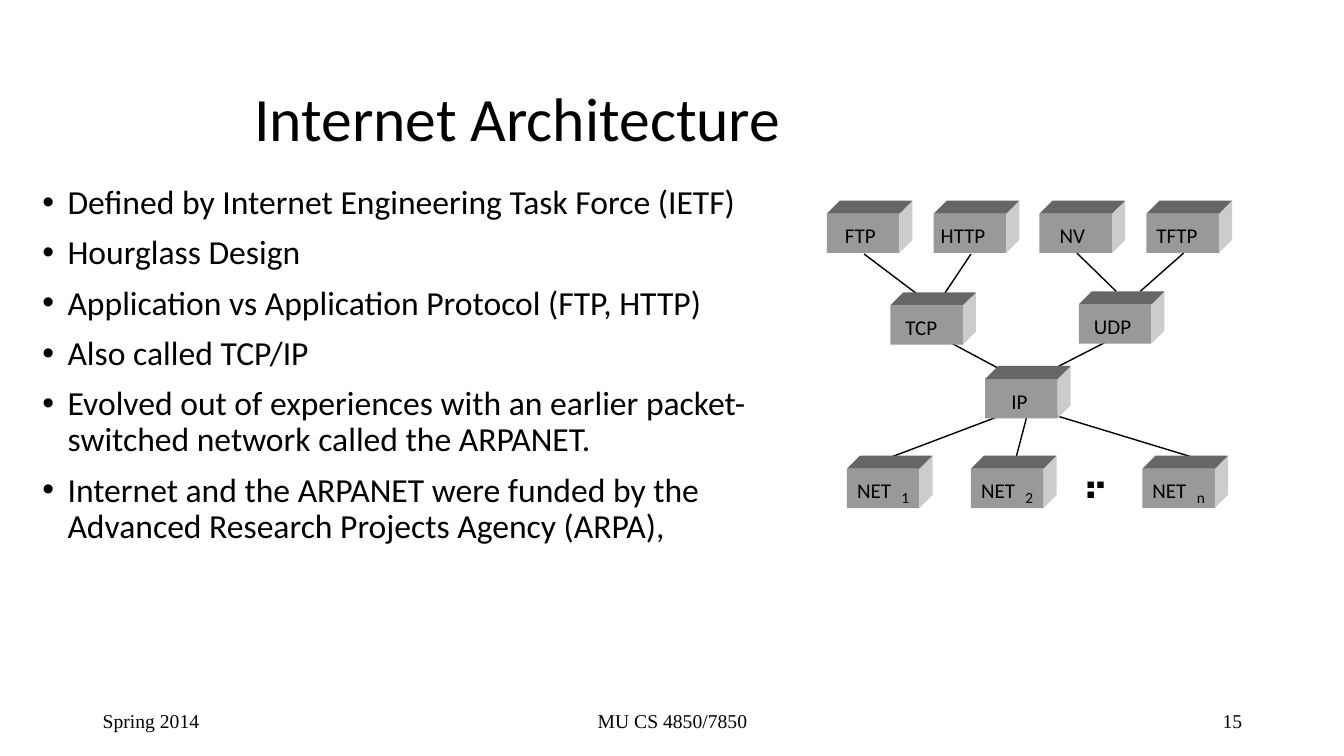
from lxml.etree import SubElement
from pptx import Presentation
from pptx.dml.color import RGBColor
from pptx.enum.shapes import MSO_CONNECTOR, MSO_SHAPE
from pptx.enum.text import MSO_ANCHOR, MSO_AUTO_SIZE, PP_ALIGN
from pptx.oxml.ns import qn
from pptx.util import Inches, Pt

INK, FRONT, SIDE, TOP = "000000", "999999", "CCCCCC", "666666"
WIDE, HIGH, DEEP = 0.85, 0.52, 0.13
TIGHT = dict.fromkeys(("margin_left", "margin_top", "margin_right", "margin_bottom"), 0)
POINTS = [
    "Defined by Internet Engineering Task Force (IETF)",
    "Hourglass Design",
    "Application vs Application Protocol (FTP, HTTP)",
    "Also called TCP/IP",
    "Evolved out of experiences with an earlier packet-switched network called the ARPANET.",
    "Internet and the ARPANET were funded by the Advanced Research Projects Agency (ARPA),",
]
NODES = [
    ("FTP", "", 0, 0, 0.18), ("HTTP", "", 1.06, 0, 0.07),
    ("NV", "", 2.11, 0, 0.2), ("TFTP", "", 3.17, 0, 0.1),
    ("TCP", "", 0.63, 0.91, 0.15), ("UDP", "", 2.5, 0.9, 0.15),
    ("IP", "", 1.57, 1.64, 0.26),
    ("NET", "1", 0.2, 2.53, 0.1), ("NET", "2", 1.43, 2.53, 0.1),
    ("NET", "n", 3.13, 2.53, 0.1),
]
LINKS = [
    (0.37, 0.53, 0.9, 0.93), (1.43, 0.53, 1.17, 0.92),
    (2.48, 0.52, 2.87, 0.9), (3.54, 0.52, 3.11, 0.9),
    (1.06, 1.32, 1.77, 1.7), (2.93, 1.32, 2.19, 1.7),
    (1.76, 2.12, 0.65, 2.54), (1.99, 2.12, 1.88, 2.54),
    (3.61, 2.54, 2.23, 2.12),
]


def tint(code):
    """Turn a hex string into a colour."""
    return RGBColor.from_string(code)


def apply(item, style):
    """Set each value of a style on an item."""
    for name, value in style.items():
        setattr(item, name, value)


def place(shape, box):
    """Move a shape to a box given in inches."""
    apply(shape, dict(zip(("left", "top", "width", "height"), map(Inches, box))))


def write(frame, lines, size, face="Calibri", **style):
    """Fill a text frame with styled paragraphs."""
    frame.text = "\n".join(lines)
    for para in frame.paragraphs:
        apply(para, style)
        for run in para.runs:
            apply(run.font, {"size": Pt(size), "name": face})
            run.font.color.rgb = tint(INK)


def label(shapes, text, box, size, wrap=False):
    """Add a text box without margins."""
    frame = shapes.add_textbox(*map(Inches, box)).text_frame
    apply(frame, {**TIGHT, "word_wrap": wrap})
    write(frame, [text], size)


def paint(shape, code):
    """Give a shape a plain fill, no line and no shadow."""
    shape.fill.solid()
    shape.fill.fore_color.rgb = tint(code)
    shape.line.fill.background()
    shape.shadow.inherit = False


def face(shapes, points, code):
    """Draw one slanted face of a block."""
    spots = [(Inches(x), Inches(y)) for x, y in points]
    form = shapes.build_freeform(*spots[0])
    form.add_line_segments(spots[1:], close=True)
    paint(form.convert_to_shape(), code)


def block(shapes, x, y, text, sub, shift):
    """Draw a labelled solid block with its corner at x, y."""
    right, low, edge, base = x + WIDE, y + DEEP, x + WIDE - DEEP, y + HIGH
    front = (x, low, WIDE - DEEP, HIGH - DEEP)
    paint(shapes.add_shape(MSO_SHAPE.RECTANGLE, *map(Inches, front)), FRONT)
    face(shapes, [(right, y), (right, base - DEEP), (edge, base), (edge, low)], SIDE)
    face(shapes, [(x, low), (x + DEEP, y), (right, y), (edge, low)], TOP)
    label(shapes, text, (x + shift, y + 0.22, 0.45, 0.25), 15)
    if sub:
        label(shapes, sub, (x + 0.54, y + 0.32, 0.09, 0.19), 11)


def link(shapes, ends):
    """Draw a thin line between two points."""
    line = shapes.add_connector(MSO_CONNECTOR.STRAIGHT, *map(Inches, ends))
    line.line.width = Pt(1)
    line.line.color.rgb = tint(INK)
    SubElement(line._element.spPr, qn("a:effectLst"))


def stack(slide, left, top):
    """Draw the protocol hourglass from its top left corner."""
    shapes = slide.shapes.add_group_shape().shapes
    label(shapes, "■ ■ ■", (left + 2.58, top + 2.76, 0.2, 0.1), 6, True)
    for x, y, end, base in LINKS:
        link(shapes, (left + x, top + y, left + end, top + base))
    for text, sub, x, y, shift in NODES:
        block(shapes, left + x, top + y, text, sub, shift)


def head(slide, box):
    """Set the slide title."""
    title = slide.shapes.title
    place(title, box)
    apply(title.text_frame, {"vertical_anchor": MSO_ANCHOR.MIDDLE,
                             "auto_size": MSO_AUTO_SIZE.NONE})
    write(title.text_frame, ["Internet Architecture"], 44,
          alignment=PP_ALIGN.LEFT, line_spacing=0.9)


def body(slide, box):
    """Set the bullet list."""
    holder = slide.placeholders[1]
    place(holder, box)
    frame = holder.text_frame
    frame.auto_size = MSO_AUTO_SIZE.NONE
    write(frame, POINTS, 24, line_spacing=0.9, space_before=Pt(10))
    for para in frame.paragraphs:
        props = para._p.get_or_add_pPr()
        props.set("marL", str(Inches(0.25)))
        props.set("indent", str(Inches(-0.25)))


def foot(slide, top, high):
    """Add the date, course and page number."""
    for text, left, wide, side in (
        ("Spring 2014", 0.92, 3, PP_ALIGN.LEFT),
        ("MU CS 4850/7850", 4.42, 4.5, PP_ALIGN.CENTER),
        ("15", 9.42, 3, PP_ALIGN.RIGHT),
    ):
        area = map(Inches, (left, top, wide, high))
        frame = slide.shapes.add_textbox(*area).text_frame
        apply(frame, {"word_wrap": True, "vertical_anchor": MSO_ANCHOR.MIDDLE})
        write(frame, [text], 14, "Times New Roman", alignment=side)


def main():
    """Build and save the slide."""
    deck = Presentation()
    apply(deck, {"slide_width": Inches(13.33), "slide_height": Inches(7.5)})
    slide = deck.slides.add_slide(deck.slide_layouts[1])
    foot(slide, 6.95, 0.4)
    head(slide, (2.42, 0.58, 8.5, 1.25))
    body(slide, (0.32, 1.79, 7.58, 4.5))
    stack(slide, 8.2, 1.99)
    deck.save("out.pptx")


main()
